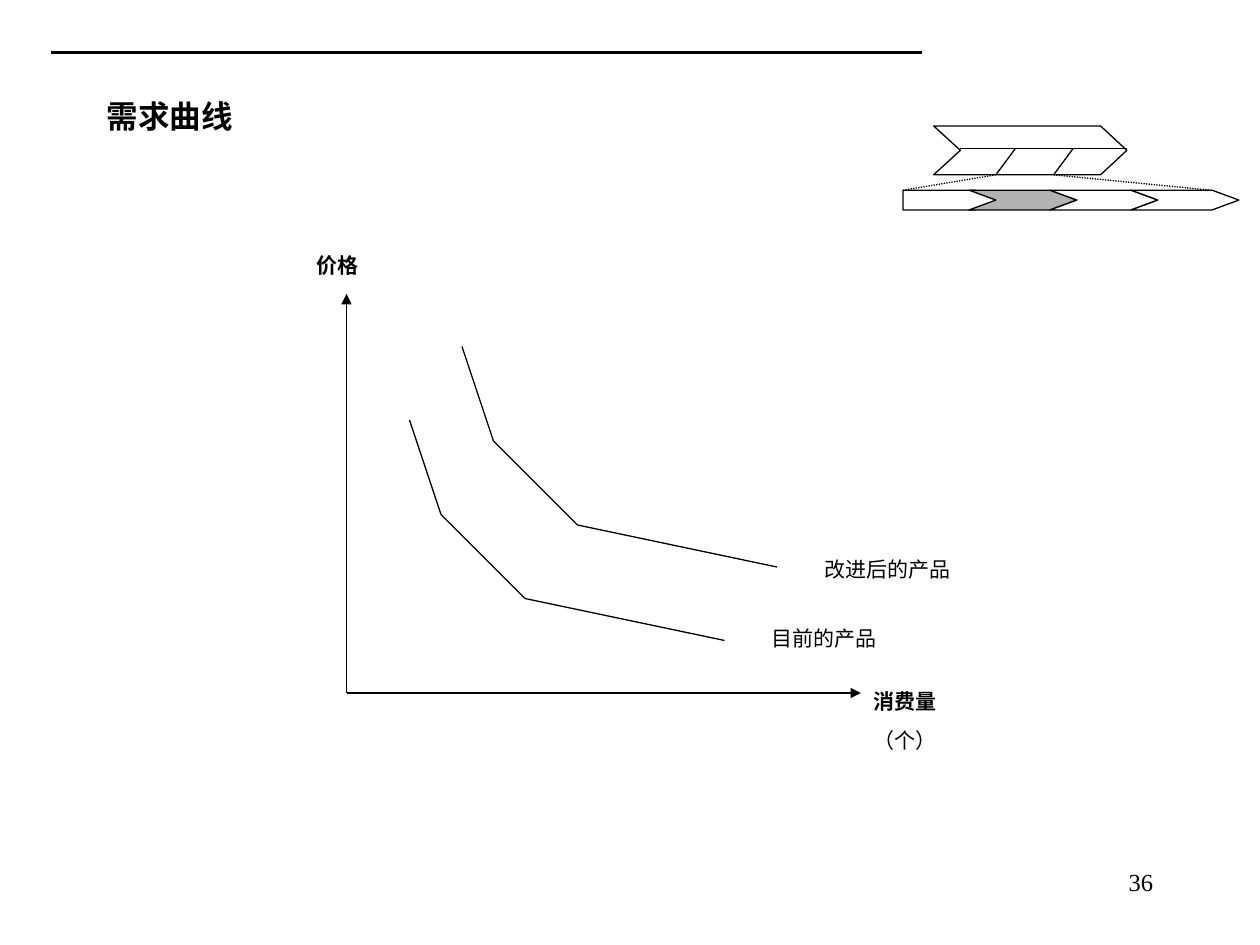
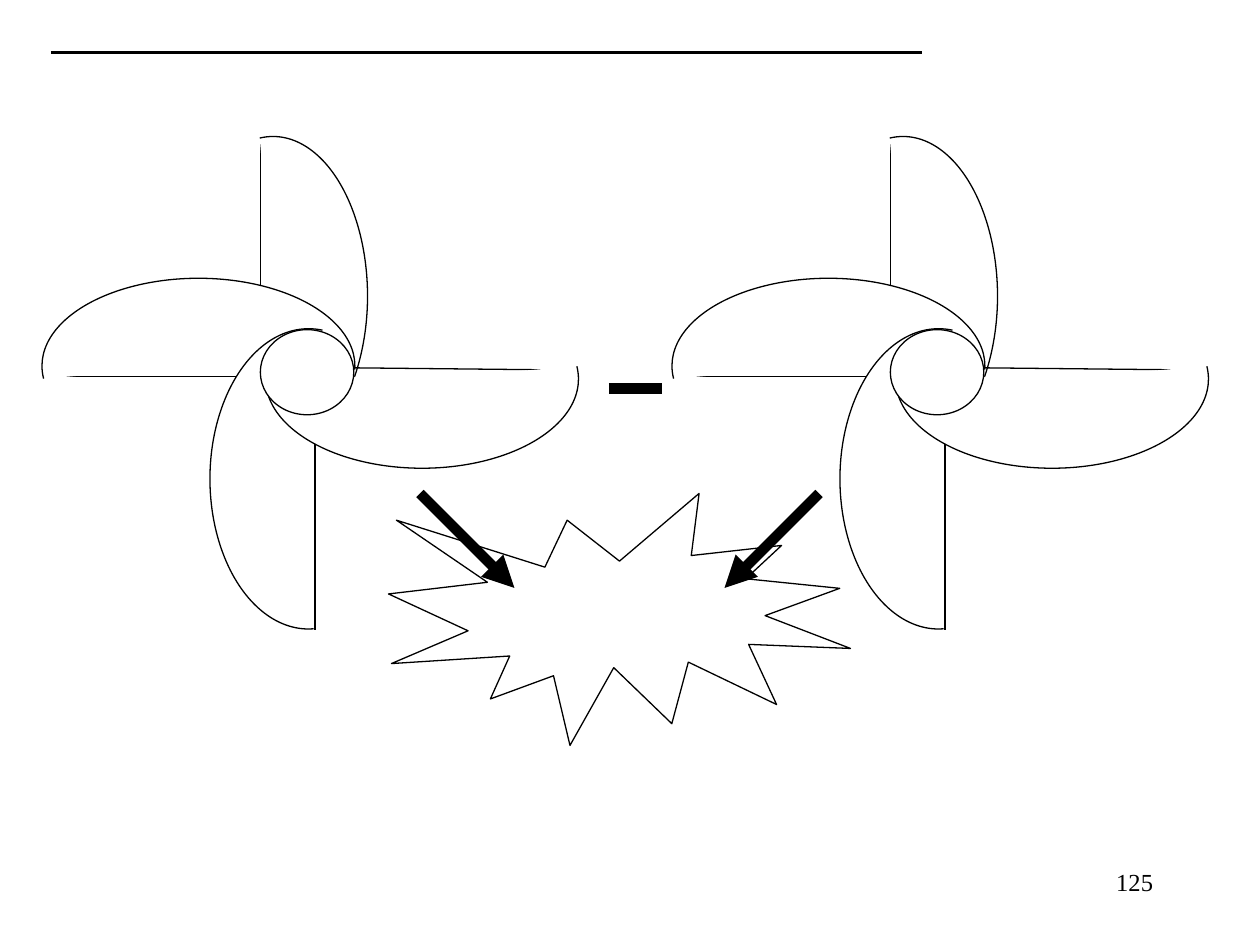
from lxml import etree
from pptx import Presentation
from pptx.dml.color import RGBColor
from pptx.enum.dml import MSO_LINE
from pptx.enum.shapes import MSO_CONNECTOR, MSO_SHAPE
from pptx.enum.text import MSO_ANCHOR, PP_ALIGN
from pptx.oxml.ns import qn
from pptx.util import Inches, Pt

STRAIGHT = MSO_CONNECTOR.STRAIGHT
ARC, OVAL, BURST = MSO_SHAPE.ARC, MSO_SHAPE.OVAL, MSO_SHAPE.EXPLOSION1
DOTTED = MSO_LINE.ROUND_DOT
LEFT, CENTER, RIGHT = PP_ALIGN.LEFT, PP_ALIGN.CENTER, PP_ALIGN.RIGHT
TOP, MIDDLE = MSO_ANCHOR.TOP, MSO_ANCHOR.MIDDLE

COLORS = {"ink": "000000", "paper": "FFFFFF", "active": "B2B2B2"}
FONT = "Times New Roman"
COLUMNS, ROWS = 120, 90
THIN, RULE, HEAVY = 0.75, 1.5, 6
ANGLE_UNIT = 0.6  # adjustment value of one degree


def rgb(name):
    return RGBColor.from_string(COLORS[name])


class Deck:
    """Slide style and drawing methods; lengths are grid columns and rows."""

    def __init__(self):
        self.prs = Presentation()
        self.prs.slide_width, self.prs.slide_height = Inches(10), Inches(7.5)
        self.slide = self.shapes = None

    def x(self, columns):
        return round(self.prs.slide_width * columns / COLUMNS)

    def y(self, rows):
        return round(self.prs.slide_height * rows / ROWS)

    def box(self, x, y, w, h):
        return self.x(x), self.y(y), self.x(w), self.y(h)

    def new_slide(self, number, title=None):
        self.slide = self.prs.slides.add_slide(self.prs.slide_layouts[6])
        self.shapes = self.slide.shapes
        self.line((4.85, 5), (87.8, 5), RULE)
        if title:
            self.text(9, 5, 102, 12, [(title, True)], 18, anchor=MIDDLE)
        self.text(86, 82, 25, 6, [(number, False)], 14, RIGHT)

    def start_group(self):
        self.shapes = self.slide.shapes.add_group_shape().shapes

    def end_group(self):
        self.shapes = self.slide.shapes

    def text(self, x, y, w, h, lines, size=12, align=LEFT, anchor=TOP):
        tf = self.shapes.add_textbox(*self.box(x, y, w, h)).text_frame
        tf.word_wrap = True
        tf.vertical_anchor = anchor
        for i, (words, bold) in enumerate(lines):
            p = tf.add_paragraph() if i else tf.paragraphs[0]
            p.alignment = align
            if i:
                p.space_before = Pt(7.5)
            r = p.add_run()
            r.text = words
            r.font.name, r.font.size, r.font.bold = FONT, Pt(size), bold
            r.font.color.rgb = rgb("ink")

    def line(self, start, end, width=THIN, dash=None, arrow=False):
        (x1, y1), (x2, y2) = start, end
        c = self.shapes.add_connector(
            STRAIGHT, self.x(x1), self.y(y1), self.x(x2), self.y(y2))
        c.line.color.rgb, c.line.width = rgb("ink"), Pt(width)
        if dash:
            c.line.dash_style = dash
        if arrow:
            etree.SubElement(c.line._get_or_add_ln(), qn("a:tailEnd"), type="triangle")
        etree.SubElement(c._element.spPr, qn("a:effectLst"))

    def paint(self, sp, fill="paper"):
        sp.shadow.inherit = False
        sp.fill.solid()
        sp.fill.fore_color.rgb = rgb(fill)
        sp.line.color.rgb, sp.line.width = rgb("ink"), Pt(THIN)
        return sp

    def shape(self, kind, x, y, w, h):
        return self.paint(self.shapes.add_shape(kind, *self.box(x, y, w, h)))

    def arc(self, x, y, w, h, start, end, rotation=0):
        sp = self.shape(ARC, x, y, w, h)
        sp.adjustments[0], sp.adjustments[1] = start * ANGLE_UNIT, end * ANGLE_UNIT
        sp.rotation = rotation

    def polyline(self, points):
        for start, end in zip(points, points[1:]):
            self.line(start, end)

    def ribbon(self, x, y, body, tip, h, notch=0, fill="paper"):
        points = [(x, y), (x + body, y), (x + body + tip, y + h / 2),
                  (x + body, y + h), (x, y + h)]
        if notch:
            points.append((x + notch, y + h / 2))
        points = [(self.x(px), self.y(py)) for px, py in points]
        builder = self.shapes.build_freeform(*points[0])
        builder.add_line_segments(points[1:], close=True)
        self.paint(builder.convert_to_shape(), fill)


# Rotor blades: straight edge, then arc frame, start angle, end angle, rotation
BLADES = (
    ((24.8, 13.4), (24.8, 43.4), (10.8, 19.2, 30.4, 18), 175.2, 1.6, 90),
    ((4.4, 35.85), (33.7, 35.85), (4, 26.5, 29.8, 16.7), 175.3, 1.4, 0),
    ((30, 31.9), (30, 60), (15.1, 36.2, 28.6, 18.8), 178.1, 5.3, 270),
    ((55, 35.25), (25.3, 34.95), (25.3, 27.6, 29.8, 17), 355.3, 181.8, 0),
)


def draw_rotor(deck, dx):
    deck.start_group()
    for (x1, y1), (x2, y2), (x, y, w, h), start, end, rotation in BLADES:
        deck.line((x1 + dx, y1), (x2 + dx, y2))
        deck.arc(x + dx, y, w, h, start, end, rotation)
    deck.shape(OVAL, 24.8 + dx, 31.4, 8.9, 8.1)
    deck.end_group()


def draw_navigator(deck):
    # Value chain with its middle step opened out
    deck.ribbon(86, 18.12, 6.9, 2.3, 1.88)
    deck.ribbon(88.92, 12, 15.9, 2.5, 4.65, notch=2.55)
    deck.line((91.45, 14.15), (107.3, 14.15))
    for foot, corner in ((94.85, 86), (100.35, 115.4)):
        deck.line((foot + 1.85, 14.15), (foot, 16.65))
        deck.line((foot, 16.65), (corner, 18.12), dash=DOTTED)
    # Detailed steps, the second one active
    for i, fill in enumerate(("active", "paper", "paper")):
        deck.ribbon(92.3 + 7.72 * i, 18.12, 7.7, 2.55, 1.88, notch=2.55, fill=fill)


def demand_slide(deck):
    deck.new_slide("36", "需求曲线")
    draw_navigator(deck)

    # Axes and demand curves
    deck.start_group()
    origin = (33, 66)
    for axis_end in ((82, 66), (33, 28)):
        deck.line(origin, axis_end, arrow=True)
    current = [(39, 40), (42, 49), (50, 57), (69, 61)]
    improved = [(x + 5, y - 7) for x, y in current]
    for curve in (current, improved):
        deck.polyline(curve)
    deck.end_group()

    # Labels
    deck.text(82, 65, 13, 7.3, [("消费量", True), ("（个）", False)])
    deck.text(75, 52.4, 19, 3.6, [("改进后的产品", False)], align=CENTER)
    deck.text(69, 59, 19, 3.6, [("目前的产品", False)], align=CENTER)
    deck.text(29, 23.45, 13, 3.6, [("价格", True)])


def rotors_slide(deck):
    deck.new_slide("125")
    deck.shape(BURST, 37, 47, 44, 24)
    for dx in (0, COLUMNS / 2):
        draw_rotor(deck, dx)
    # Link between the rotors and arrows into the burst
    deck.line((58, 37), (63, 37), HEAVY)
    for start, end in ((40, 49), (78, 69)):
        deck.line((start, 47), (end, 56), HEAVY, arrow=True)


def main():
    deck = Deck()
    demand_slide(deck)
    rotors_slide(deck)
    deck.prs.save("out.pptx")


if __name__ == "__main__":
    main()
